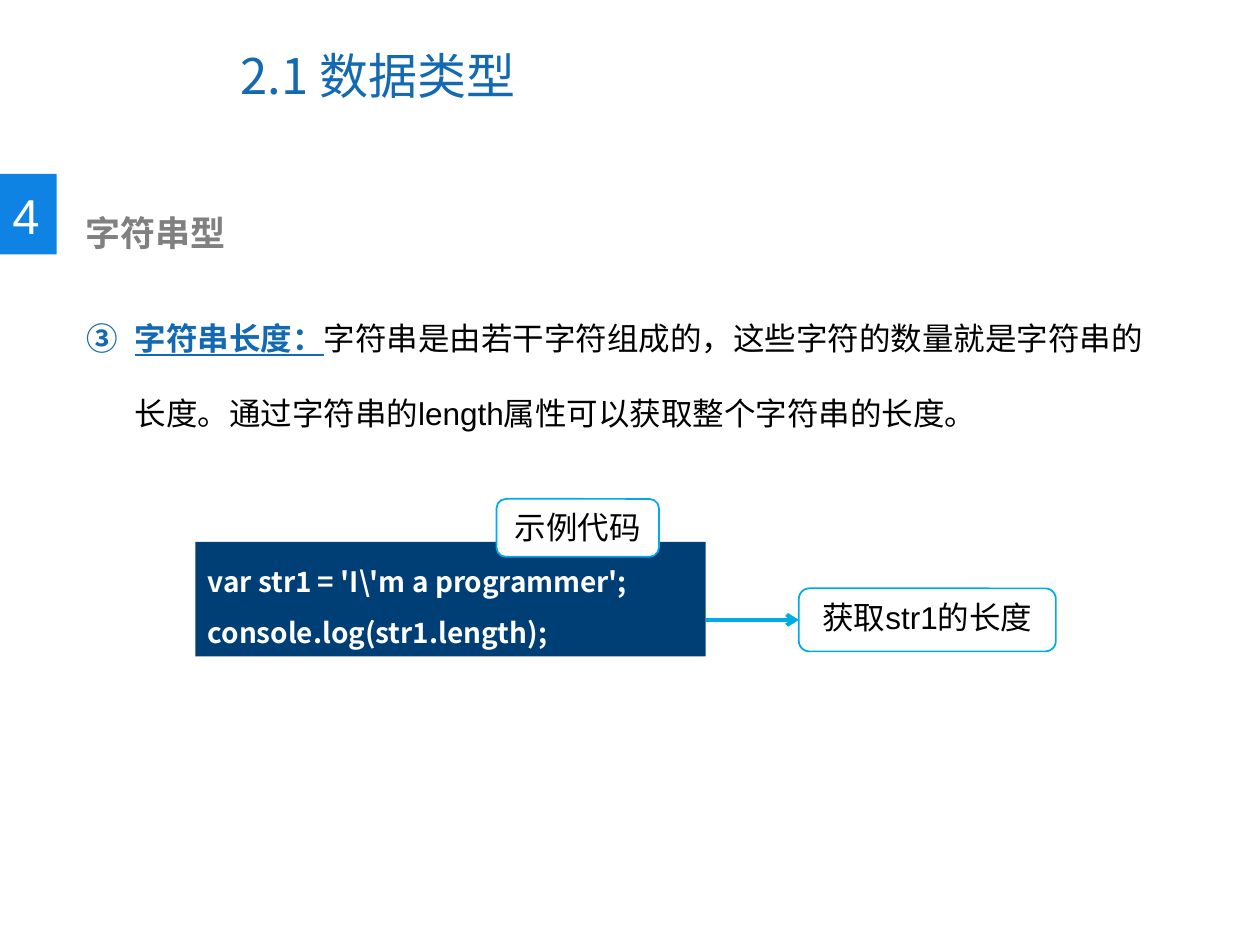
from dataclasses import dataclass

from lxml.etree import SubElement
from pptx import Presentation
from pptx.dml.color import RGBColor
from pptx.enum.shapes import MSO_CONNECTOR, MSO_SHAPE
from pptx.enum.text import MSO_ANCHOR, PP_ALIGN
from pptx.oxml.ns import qn
from pptx.util import Inches, Pt


@dataclass(frozen=True)
class Theme:
    body_font: str = "Arial"
    code_font: str = "Noto Sans CJK SC"
    blue: str = "1369B2"
    badge: str = "0F83E3"
    navy: str = "003F75"
    cyan: str = "00ACE6"
    grey: str = "808080"
    black: str = "000000"
    white: str = "FFFFFF"
    title_size: int = 28
    heading_size: int = 20
    body_size: int = 18
    code_size: int = 16


@dataclass(frozen=True)
class Box:
    left: float
    top: float
    width: float
    height: float

    def inside(self, left, top, width, height):
        return Box(self.left + left, self.top + top, width, height)

    def lengths(self):
        return [cells(n) for n in (self.left, self.top, self.width, self.height)]


THEME = Theme()
COLUMNS, ROWS = 100, 75
CELL = Inches(0.1)


def cells(count):
    return round(count * CELL)


def color(name):
    return RGBColor.from_string(name)


def add_span(para, text, size, ink, font=THEME.body_font, bold=False, underline=False):
    span = para.add_run()
    span.text = text
    span.font.size = Pt(size)
    span.font.name = font
    span.font.bold = bold
    span.font.underline = underline
    span.font.color.rgb = color(ink)


def add_text_box(page, box, wrap=True, anchor=MSO_ANCHOR.TOP):
    frame = page.shapes.add_textbox(*box.lengths()).text_frame
    frame.word_wrap = wrap
    frame.vertical_anchor = anchor
    return frame.paragraphs[0]


def add_panel(page, box, kind, fill, line=None):
    panel = page.shapes.add_shape(kind, *box.lengths())
    panel.shadow.inherit = False
    panel.fill.solid()
    panel.fill.fore_color.rgb = color(fill)
    if line:
        panel.line.color.rgb = color(line)
        panel.line.width = Pt(1)
    else:
        panel.line.fill.background()
    panel.text_frame.vertical_anchor = MSO_ANCHOR.TOP
    return panel


def add_label(page, box, text):
    label = add_panel(page, box, MSO_SHAPE.ROUNDED_RECTANGLE, THEME.white, THEME.cyan)
    para = label.text_frame.paragraphs[0]
    para.alignment = PP_ALIGN.CENTER
    add_span(para, text, THEME.body_size, THEME.black)
    return label


def add_title(page, box):
    para = add_text_box(page, box, anchor=MSO_ANCHOR.MIDDLE)
    add_span(para, "2.1 ", THEME.title_size, THEME.blue, THEME.code_font)
    add_span(para, "数据类型", THEME.title_size, THEME.blue)


def add_section(page, box, number, heading):
    add_panel(page, box.inside(0, 0, 4.5, 6.4), MSO_SHAPE.RECTANGLE, THEME.badge)
    para = add_text_box(page, box.inside(0, 0.4, 4.2, 5.7), wrap=False)
    add_span(para, number, THEME.title_size, THEME.white)
    para = add_text_box(page, box.inside(5.8, 2.5, box.width - 5.8, 4.4))
    add_span(para, heading, THEME.heading_size, THEME.grey, bold=True)


def add_point(page, box, number, term, text):
    para = add_text_box(page, box)
    para.line_spacing = 2.0
    layout = para._p.get_or_add_pPr()
    layout.set("marL", str(cells(3.8)))
    layout.set("indent", str(-cells(3.8)))
    SubElement(layout, qn("a:buAutoNum"), type="circleNumDbPlain", startAt=str(number))
    add_span(para, term, THEME.body_size, THEME.blue, bold=True, underline=True)
    add_span(para, text, THEME.body_size, THEME.black)


def add_arrow(page, left, target):
    middle = target.top + target.height // 2
    arrow = page.shapes.add_connector(
        MSO_CONNECTOR.STRAIGHT, left, middle, target.left, middle)
    arrow.end_connect(target, 1)
    arrow.line.color.rgb = color(THEME.cyan)
    arrow.line.width = Pt(2.25)
    SubElement(arrow.line._get_or_add_ln(), qn("a:tailEnd"), type="arrow")
    SubElement(arrow._element.spPr, qn("a:effectLst"))


def add_example(page, box, code_lines, label, remark):
    callout = add_label(page, box.inside(47.9, 7.1, 20.4, 5), remark)
    code = add_panel(page, box.inside(0, 3.4, 40.5, 9.1), MSO_SHAPE.RECTANGLE, THEME.navy)
    frame = code.text_frame
    for index, line in enumerate(code_lines):
        para = frame.add_paragraph() if index else frame.paragraphs[0]
        para.alignment = PP_ALIGN.LEFT
        para.line_spacing = 1.5
        add_span(para, line, THEME.code_size, THEME.white, THEME.code_font, bold=True)
    add_label(page, box.inside(23.9, 0, 12.9, 4.6), label)
    add_arrow(page, code.left + code.width, callout)


def main():
    deck = Presentation()
    deck.slide_width = cells(COLUMNS)
    deck.slide_height = cells(ROWS)
    page = deck.slides.add_slide(deck.slide_layouts[6])
    add_title(page, Box(18.1, 1.7, 51.6, 8.5))
    add_section(page, Box(0, 13.8, 56, 7), "4", "字符串型")
    add_point(
        page, Box(5.9, 21.8, 86.5, 12.2), 3, "字符串长度：",
        "字符串是由若干字符组成的，这些字符的数量就是字符串的长度。"
        "通过字符串的length属性可以获取整个字符串的长度。")
    add_example(
        page, Box(15.5, 39.6, 68.3, 12.5),
        [r"var str1 = 'I\'m a programmer';", "console.log(str1.length);"],
        "示例代码", "获取str1的长度")
    deck.save("out.pptx")


if __name__ == "__main__":
    main()
